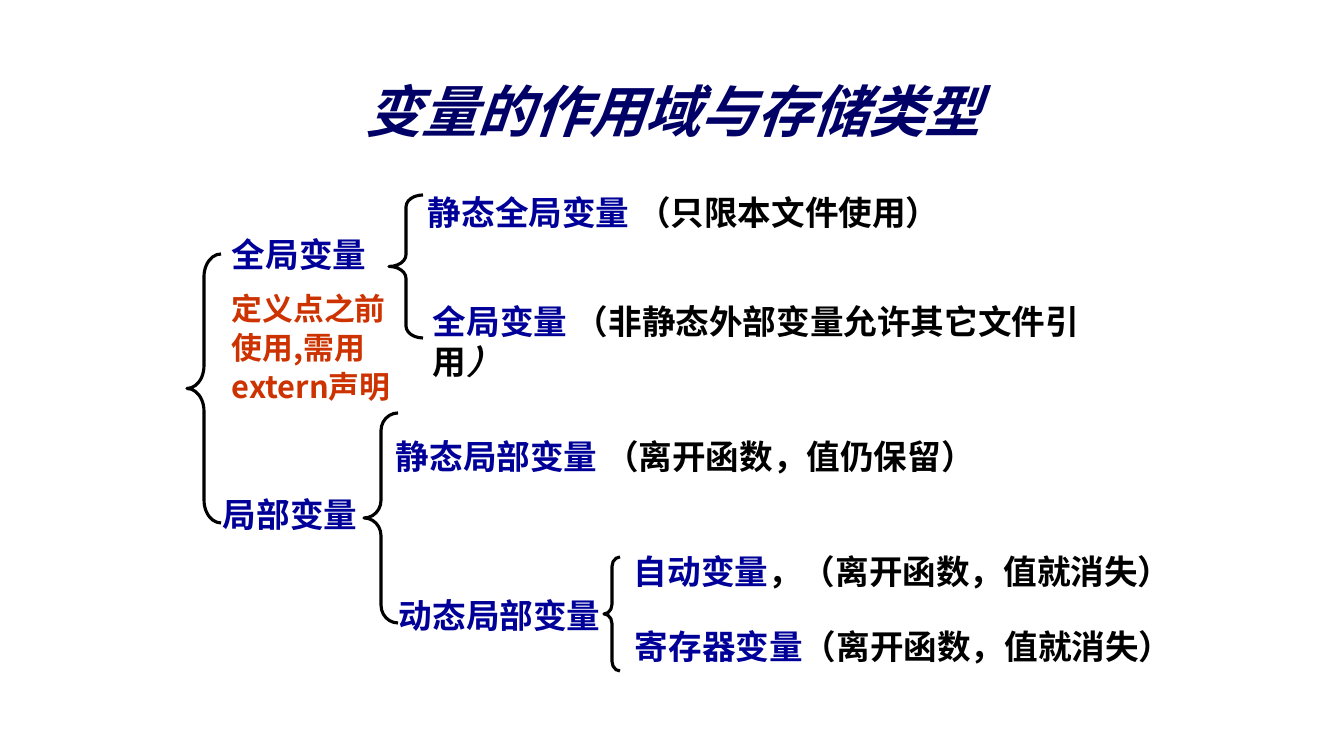
import pptx
import pptx.util
import pptx.dml.color
import pptx.enum.shapes
import pptx.enum.text
import pptx.oxml
import pptx.oxml.ns
import lxml.etree

PX = 9071  # EMU per px
BLUE, BLACK, RED, NAVY = "000099", "000000", "CC3300", "000066"
SANS = "Noto Sans CJK SC"


def color(hex_string):
    return pptx.dml.color.RGBColor.from_string(hex_string)


def add_text(left, top, width, height, paragraphs, size, font=SANS):
    """Each paragraph is a list of (text, colour) runs."""
    box = slide.shapes.add_textbox(left * PX, top * PX, width * PX, height * PX)
    frame = box.text_frame
    frame.word_wrap = True
    for index, runs in enumerate(paragraphs):
        paragraph = frame.paragraphs[0] if index == 0 else frame.add_paragraph()
        for text, run_color in runs:
            run = paragraph.add_run()
            run.text = text
            run.font.size = pptx.util.Pt(size)
            run.font.bold = True
            run.font.name = font
            run.font.color.rgb = color(run_color)
            east_asian = lxml.etree.SubElement(run.font._element, pptx.oxml.ns.qn("a:ea"))
            east_asian.set("typeface", SANS)
    return frame


presentation = pptx.Presentation()
presentation.slide_width = 1344 * PX
presentation.slide_height = 756 * PX
slide = presentation.slides.add_slide(presentation.slide_layouts[6])

# Title, slanted with a text shadow
title = add_text(243, 69, 860, 93, [[("变量的作用域与存储类型", NAVY)]], 40, "Courier New")
title.vertical_anchor = pptx.enum.text.MSO_ANCHOR.MIDDLE
title_paragraph = title.paragraphs[0]
title_paragraph.alignment = pptx.enum.text.PP_ALIGN.CENTER
title_paragraph.line_spacing = 0.85
title_font = title_paragraph.runs[0].font
title_font.italic = True
shadow = pptx.oxml.parse_xml(
    '<a:effectLst xmlns:a="http://schemas.openxmlformats.org/drawingml/2006/main">'
    '<a:outerShdw dist="38100" dir="2700000"><a:srgbClr val="000000"/></a:outerShdw>'
    '</a:effectLst>')
title_font._element.find(pptx.oxml.ns.qn("a:solidFill")).addnext(shadow)

# Braces: left, top, width, height, curl
braces = [
    (187, 254, 34, 269, 0.67),
    (389, 195, 34, 143, 0.35),
    (364, 413, 34, 210, 0.52),
    (604, 557, 16, 114, 0.6),
]
for left, top, width, height, curl in braces:
    brace = slide.shapes.add_shape(pptx.enum.shapes.MSO_SHAPE.LEFT_BRACE,
                                   left * PX, top * PX, width * PX, height * PX)
    brace.adjustments[0] = curl
    brace.shadow.inherit = False
    brace.fill.background()
    brace.line.color.rgb = color(BLACK)
    brace.line.width = pptx.util.Pt(2.25)

# Kinds of variable: left, top, width, name, remark
kinds = [
    (222, 229, 159, "全局变量", ""),
    (418, 187, 672, "静态全局变量", " （只限本文件使用）"),
    (213, 489, 159, "局部变量", ""),
    (386, 431, 647, "静态局部变量", " （离开函数，值仍保留）"),
    (389, 590, 227, "动态局部变量", ""),
    (624, 546, 572, "自动变量", "，（离开函数，值就消失）"),
    (625, 621, 572, "寄存器变量", "（离开函数，值就消失）"),
]
for left, top, width, name, remark in kinds:
    runs = [(name, BLUE)] + ([(remark, BLACK)] if remark else [])
    add_text(left, top, width, 50, [runs], 24)

# External variables, whose closing bracket is slanted
external = add_text(423, 296, 726, 50, [[
    ("全局变量 ", BLUE), ("（非静态外部变量允许其它文件引用", BLACK), ("）", BLACK)]], 24)
closing_font = external.paragraphs[0].runs[-1].font
closing_font.name = "Times New Roman"
closing_font.italic = True

# Note on extern
note_lines = ["定义点之前", "使用,需用", "extern声明"]
note = add_text(222, 296, 194, 122, [[(line, RED)] for line in note_lines], 22)
for paragraph in note.paragraphs:
    paragraph.line_spacing = 0.65
    paragraph.space_before = pptx.util.Pt(11)

presentation.save("out.pptx")
